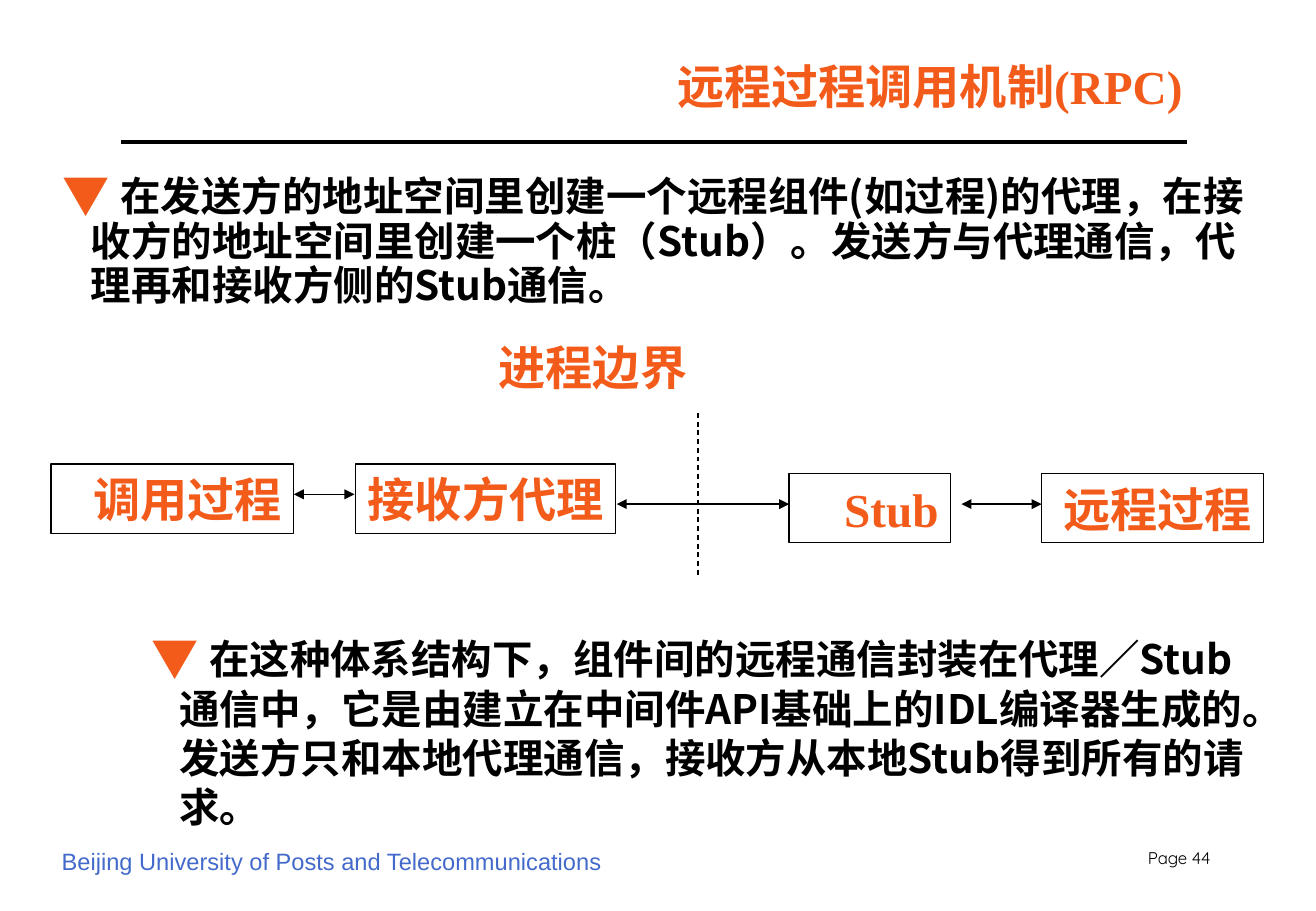
from lxml import etree
from pptx import Presentation
from pptx.dml.color import RGBColor
from pptx.enum.dml import MSO_LINE
from pptx.enum.shapes import MSO_CONNECTOR, MSO_SHAPE
from pptx.enum.text import MSO_ANCHOR, PP_ALIGN
from pptx.oxml.ns import qn
from pptx.util import Pt

PX = 9144
LEFT, RIGHT = PP_ALIGN.LEFT, PP_ALIGN.RIGHT
MIDDLE, TOP = MSO_ANCHOR.MIDDLE, MSO_ANCHOR.TOP
DASH = MSO_LINE.DASH
RECTANGLE = MSO_SHAPE.RECTANGLE
STRAIGHT = MSO_CONNECTOR.STRAIGHT
ORANGE, BLACK, BLUE = "F35B1B", "000000", "436ACB"
SERIF, CJK = "Times New Roman", "Noto Sans CJK SC"


def px(*lengths):
    return [length * PX for length in lengths]


def color(value):
    return RGBColor.from_string(value)


def place(shape, box):
    shape.left, shape.top, shape.width, shape.height = px(*box)


def prepare_frame(shape, anchor=MIDDLE, wrap=True):
    frame = shape.text_frame
    frame.word_wrap = wrap
    frame.vertical_anchor = anchor
    frame.margin_left = frame.margin_right = 10 * PX
    frame.margin_top = frame.margin_bottom = 5 * PX
    return frame


def add_run(paragraph, text, size, font, fill, bold=False):
    run = paragraph.add_run()
    run.text = text
    run.font.size = Pt(size)
    run.font.name = font
    run.font.bold = bold
    run.font.color.rgb = color(fill)
    etree.SubElement(run.font._element, qn("a:ea"), typeface=CJK)


def write_label(shape, text, size=28, font=SERIF, fill=ORANGE, bold=True,
                align=RIGHT, wrap=False):
    paragraph = prepare_frame(shape, wrap=wrap).paragraphs[0]
    paragraph.alignment = align
    add_run(paragraph, text, size, font, fill, bold)


def add_label(slide, box, text, **style):
    write_label(slide.shapes.add_textbox(*px(*box)), text, **style)


def add_line(slide, start, end, width=0.75, arrows=False, dash=None):
    connector = slide.shapes.add_connector(STRAIGHT, *px(*start, *end))
    connector.line.color.rgb = color(BLACK)
    connector.line.width = Pt(width)
    if dash:
        connector.line.dash_style = dash
    if arrows:
        outline = connector.line._get_or_add_ln()
        for end_tag in ("a:headEnd", "a:tailEnd"):
            etree.SubElement(outline, qn(end_tag), type="triangle")
    etree.SubElement(connector._element.spPr, qn("a:effectLst"))


def add_bullet_text(slide, box, text, line_points):
    frame = prepare_frame(slide.shapes.add_textbox(*px(*box)), TOP)
    paragraph = frame.paragraphs[0]
    paragraph.alignment = LEFT
    paragraph.line_spacing = Pt(line_points)
    properties = paragraph._p.get_or_add_pPr()
    properties.set("marL", str(23 * PX))
    properties.set("indent", str(-23 * PX))
    bullet_color = etree.SubElement(properties, qn("a:buClr"))
    etree.SubElement(bullet_color, qn("a:srgbClr"), val=ORANGE)
    etree.SubElement(properties, qn("a:buFont"), typeface=CJK)
    etree.SubElement(properties, qn("a:buChar"), char="▼")
    add_run(paragraph, " ", 28, CJK, BLACK)
    add_run(paragraph, text, 24, CJK, BLACK, True)


def add_header(slide, box):
    left, top, width, height = box
    title = slide.shapes.title
    place(title, (left + 292, top, width - 286, height))
    write_label(title, "远程过程调用机制(RPC)", wrap=True)
    add_line(slide, (left, top + 75), (left + width, top + 75), width=2)


def add_process_box(slide, box, text):
    shape = slide.shapes.add_shape(RECTANGLE, *px(*box))
    shape.shadow.inherit = False
    shape.fill.background()
    shape.line.color.rgb = color(BLACK)
    shape.line.width = Pt(0.75)
    write_label(shape, text)


def add_call_diagram(slide, box):
    left, top, width, height = box
    add_label(slide, (left + 359, top, 175, 57), "进程边界")
    add_line(slide, (left + 533, top + 67), (left + 533, top + height), dash=DASH)
    processes = [
        (0, 109, 200, "调用过程"),
        (251, 109, 214, "接收方代理"),
        (608, 117, 133, "Stub"),
        (816, 117, 183, "远程过程"),
    ]
    for x, y, box_width, text in processes:
        add_process_box(slide, (left + x, top + y, box_width, 57), text)
    for start, end, y in [(200, 250, 134), (466, 608, 142), (750, 816, 142)]:
        add_line(slide, (left + start, top + y), (left + end, top + y), arrows=True)


def add_footer(slide, box):
    left, top, width, height = box
    add_label(slide, (left, top, 467, height),
              "Beijing University of Posts and Telecommunications",
              size=14, font="Arial", fill=BLUE, bold=False, align=LEFT)
    add_label(slide, (left + width - 130, top, 130, 29), "Page 44",
              size=10, font="Quicksand", fill=BLACK, bold=False, wrap=True)


def main():
    presentation = Presentation()
    presentation.slide_width, presentation.slide_height = px(1084, 750)
    slide = presentation.slides.add_slide(presentation.slide_layouts[5])
    add_header(slide, (100, 42, 878, 57))
    add_bullet_text(
        slide, (42, 141, 1000, 120),
        "在发送方的地址空间里创建一个远程组件(如过程)的代理，在接收方的地址空间里"
        "创建一个桩（Stub）。发送方与代理通信，代理再和接收方侧的Stub通信。", 26)
    add_call_diagram(slide, (42, 273, 999, 200))
    add_bullet_text(
        slide, (115, 518, 927, 172),
        "在这种体系结构下，组件间的远程通信封装在代理／Stub通信中，它是由建立在"
        "中间件API基础上的IDL编译器生成的。发送方只和本地代理通信，"
        "接收方从本地Stub得到所有的请求。", 29)
    add_footer(slide, (41, 692, 966, 33))
    presentation.save("out.pptx")


if __name__ == "__main__":
    main()
